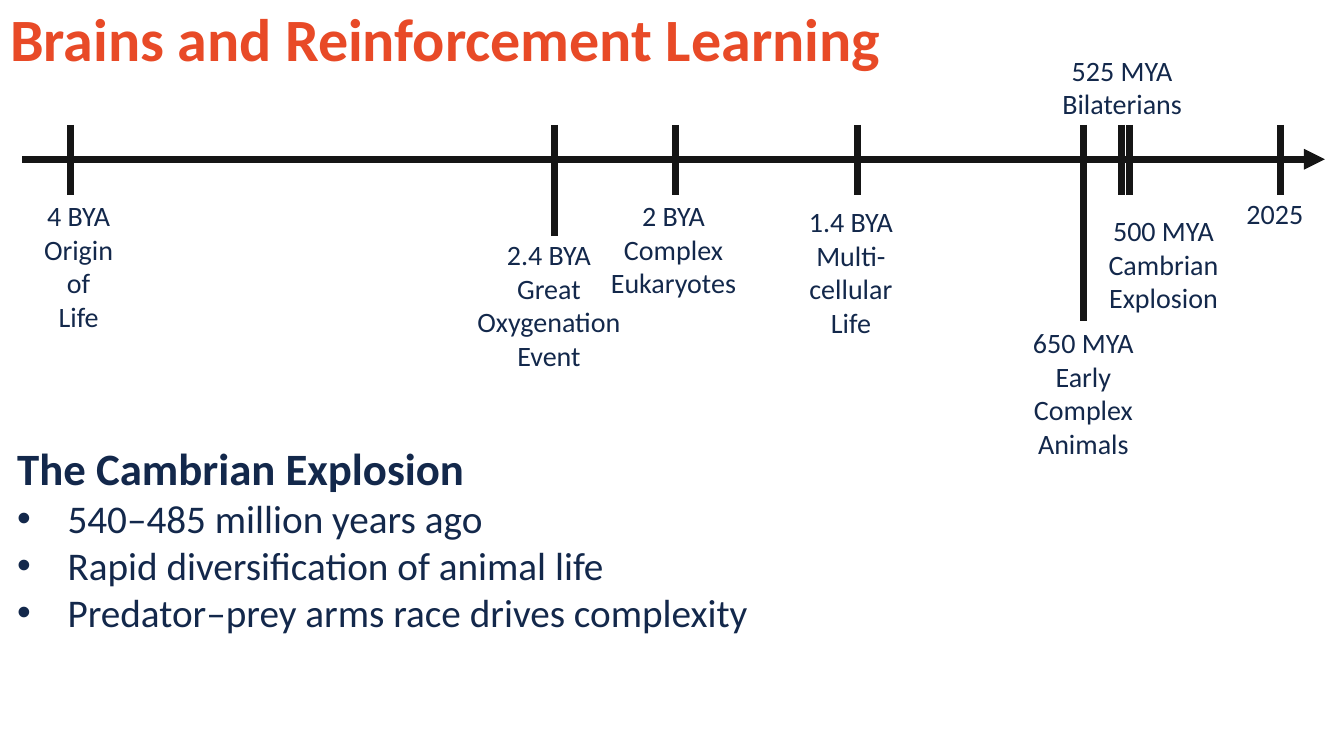
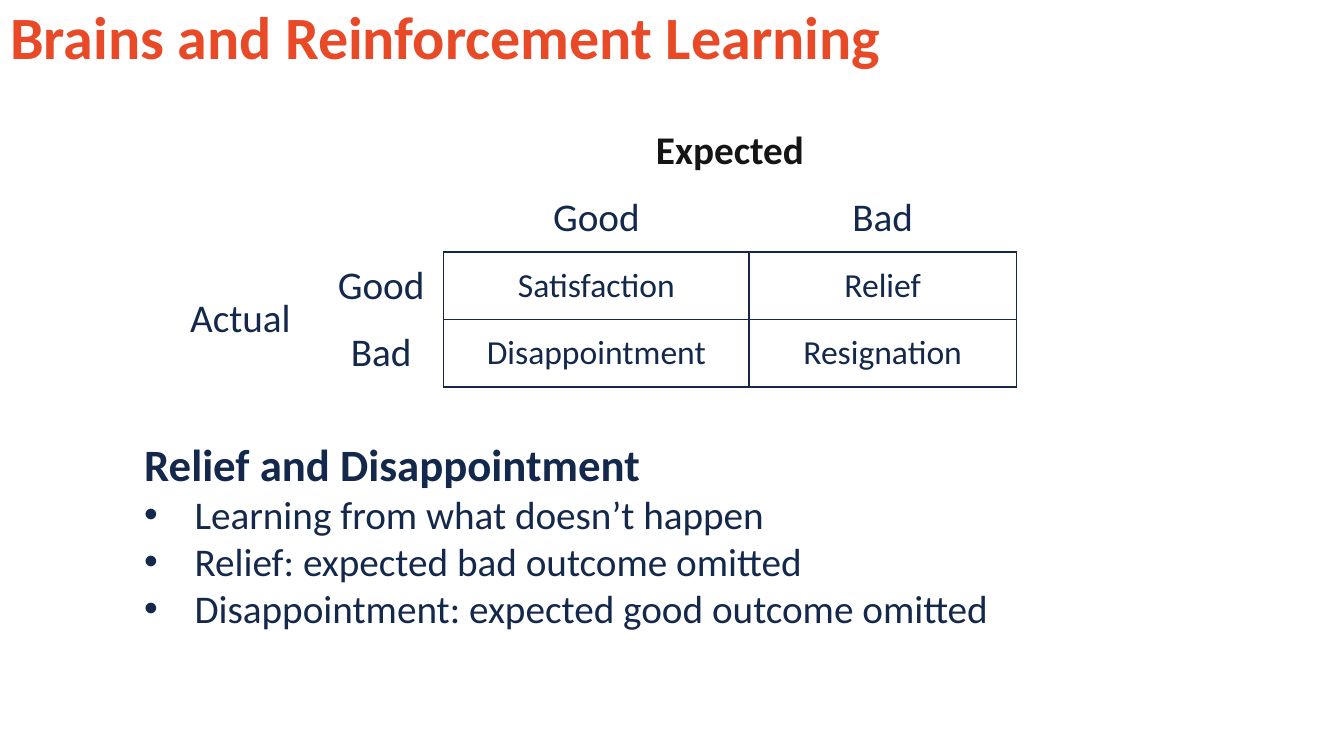
from lxml import etree
from pptx import Presentation
from pptx.dml.color import RGBColor
from pptx.enum.shapes import MSO_CONNECTOR
from pptx.enum.text import MSO_ANCHOR, MSO_AUTO_SIZE, PP_ALIGN
from pptx.oxml.ns import qn
from pptx.util import Pt

PX = 9144  # 100 px to the inch
ORANGE = RGBColor(0xE8, 0x4A, 0x27)
NAVY = RGBColor(0x13, 0x28, 0x4B)
BLACK = RGBColor(0x15, 0x15, 0x15)
WHITE = RGBColor(0xFF, 0xFF, 0xFF)
FONT = "Calibri"

TITLE = "Brains and Reinforcement Learning"

CAMBRIAN = ("The Cambrian Explosion", [
    "540–485 million years ago",
    "Rapid diversification of animal life",
    "Predator–prey arms race drives complexity",
])
RELIEF = ("Relief and Disappointment", [
    "Learning from what doesn’t happen",
    "Relief: expected bad outcome omitted",
    "Disappointment: expected good outcome omitted",
])

# million years ago, tick bottom, label left, top, width, label lines
EVENTS = [
    (4000, 193, 30, 192, 96, ["4 BYA", "Origin", "of", "Life"]),
    (2400, 234, 463, 231, 163, ["2.4 BYA", "Great", "Oxygenation", "Event"]),
    (2000, 193, 595, 192, 146, ["2 BYA", "Complex", "Eukaryotes"]),
    (1400, 193, 792, 198, 104, ["1.4 BYA", "Multi-", "cellular", "Life"]),
    (650, 318, 1014, 318, 121, ["650 MYA", "Early", "Complex", "Animals"]),
    (525, 193, 1043, 48, 140, ["525 MYA", "Bilaterians"]),
    (500, 193, 1089, 207, 130, ["500 MYA", "Cambrian", "Explosion"]),
    (0, 193, 1226, 190, 77, ["2025"]),
]
AXIS_LEFT, AXIS_RIGHT, AXIS_Y, TICK_TOP = 22, 1314, 158, 124
TODAY_X, PX_PER_MILLION_YEARS = 1270, 0.3
LABEL_LINE, LABEL_PADDING = 34, 10

OUTCOMES = [
    ["", "", "Expected", ""],
    ["", "", "Good", "Bad"],
    ["Actual", "Good", "Satisfaction", "Relief"],
    ["", "Bad", "Disappointment", "Resignation"],
]
COLUMN_WIDTHS = [155, 124, 303, 265]
ROW_HEIGHT = 67
FIRST_OUTCOME = 2  # row and column where the outcomes begin


def px(value):
    return round(value * PX)


def place(shape, left, top, width, height):
    shape.left, shape.top = px(left), px(top)
    shape.width, shape.height = px(width), px(height)


def style(para, size, color=NAVY, bold=False, align=PP_ALIGN.LEFT):
    para.alignment = align
    for span in para.runs:
        span.font.name = FONT
        span.font.size = Pt(size)
        span.font.bold = bold
        span.font.color.rgb = color


def set_bullet(para, bulleted):
    properties = para._p.get_or_add_pPr()
    indent = px(50) if bulleted else 0
    properties.set("marL", str(indent))
    properties.set("indent", str(-indent))
    if bulleted:
        etree.SubElement(properties, qn("a:buFont")).set("typeface", "Arial")
        etree.SubElement(properties, qn("a:buChar")).set("char", "•")
    else:
        etree.SubElement(properties, qn("a:buNone"))


def add_page(deck, title_top, content, body_box):
    """Add a slide with the shared title and a headed bullet list."""
    page = deck.slides.add_slide(deck.slide_layouts[1])
    title, body = page.shapes.title, page.placeholders[1]

    place(title, 0, title_top, 1256, 80)
    title.text_frame.text = TITLE
    title.text_frame.auto_size = MSO_AUTO_SIZE.NONE
    title.text_frame.vertical_anchor = MSO_ANCHOR.MIDDLE
    title.text_frame.paragraphs[0].line_spacing = 0.9
    style(title.text_frame.paragraphs[0], 42.9, ORANGE, bold=True)

    heading, bullets = content
    place(body, *body_box)
    body.text_frame.text = "\n".join([heading, *bullets])
    body.text_frame.auto_size = MSO_AUTO_SIZE.NONE
    for index, para in enumerate(body.text_frame.paragraphs):
        set_bullet(para, index > 0)
        para.space_before = Pt(0)
        style(para, 28 if index else 32, bold=index == 0)
    return page


def add_line(page, x1, y1, x2, y2, arrow=False):
    line = page.shapes.add_connector(
        MSO_CONNECTOR.STRAIGHT, px(x1), px(y1), px(x2), px(y2))
    line.line.color.rgb = BLACK
    line.line.width = Pt(5)
    if arrow:
        outline = line.line._get_or_add_ln()
        etree.SubElement(outline, qn("a:tailEnd")).set("type", "triangle")
    etree.SubElement(line._element.spPr, qn("a:effectLst"))


def add_label(page, left, top, width, lines):
    height = LABEL_LINE * len(lines) + LABEL_PADDING
    box = page.shapes.add_textbox(px(left), px(top), px(width), px(height))
    box.text_frame.word_wrap = False
    box.text_frame.text = "\n".join(lines)
    for para in box.text_frame.paragraphs:
        style(para, 20, align=PP_ALIGN.CENTER)


def add_timeline(page):
    add_line(page, AXIS_LEFT, AXIS_Y, AXIS_RIGHT, AXIS_Y, arrow=True)
    for age, tick_bottom, left, top, width, lines in EVENTS:
        x = TODAY_X - age * PX_PER_MILLION_YEARS
        add_line(page, x, TICK_TOP, x, tick_bottom)
        add_label(page, left, top, width, lines)


def is_outcome(row, column):
    return all(FIRST_OUTCOME <= index < len(OUTCOMES)
               for index in (row, column))


def set_borders(cell, row, column):
    """Draw navy edges around outcome cells and white edges elsewhere."""
    neighbours = [("a:lnL", 0, -1), ("a:lnR", 0, 1),
                  ("a:lnT", -1, 0), ("a:lnB", 1, 0)]
    properties = cell._tc.get_or_add_tcPr()
    for position, (tag, down, across) in enumerate(neighbours):
        inked = (is_outcome(row, column)
                 or is_outcome(row + down, column + across))
        edge = etree.Element(qn(tag), w=str(Pt(1)))
        fill = etree.SubElement(edge, qn("a:solidFill"))
        color = etree.SubElement(fill, qn("a:srgbClr"))
        color.set("val", str(NAVY if inked else WHITE))
        properties.insert(position, edge)


def add_outcome_table(page):
    frame = page.shapes.add_table(
        len(OUTCOMES), len(COLUMN_WIDTHS), px(161), px(116),
        px(sum(COLUMN_WIDTHS)), px(ROW_HEIGHT * len(OUTCOMES)))
    table = frame.table
    table.first_row = table.horz_banding = False
    for column, width in zip(table.columns, COLUMN_WIDTHS):
        column.width = px(width)
    for row, texts in enumerate(OUTCOMES):
        table.rows[row].height = px(ROW_HEIGHT)
        for column, text in enumerate(texts):
            cell = table.cell(row, column)
            cell.fill.background()
            set_borders(cell, row, column)
            cell.vertical_anchor = MSO_ANCHOR.MIDDLE
            cell.text_frame.text = text
            header = row == 0
            style(cell.text_frame.paragraphs[0],
                  24 if is_outcome(row, column) else 28,
                  BLACK if header else NAVY, header, PP_ALIGN.CENTER)
    table.cell(0, 2).merge(table.cell(0, 3))
    table.cell(2, 0).merge(table.cell(3, 0))


def main():
    deck = Presentation()
    deck.slide_width, deck.slide_height = px(1333), px(750)
    add_timeline(add_page(deck, 2, CAMBRIAN, (7, 432, 1113, 205)))
    add_outcome_table(add_page(deck, 0, RELIEF, (133, 428, 1056, 205)))
    deck.save("out.pptx")


if __name__ == "__main__":
    main()
